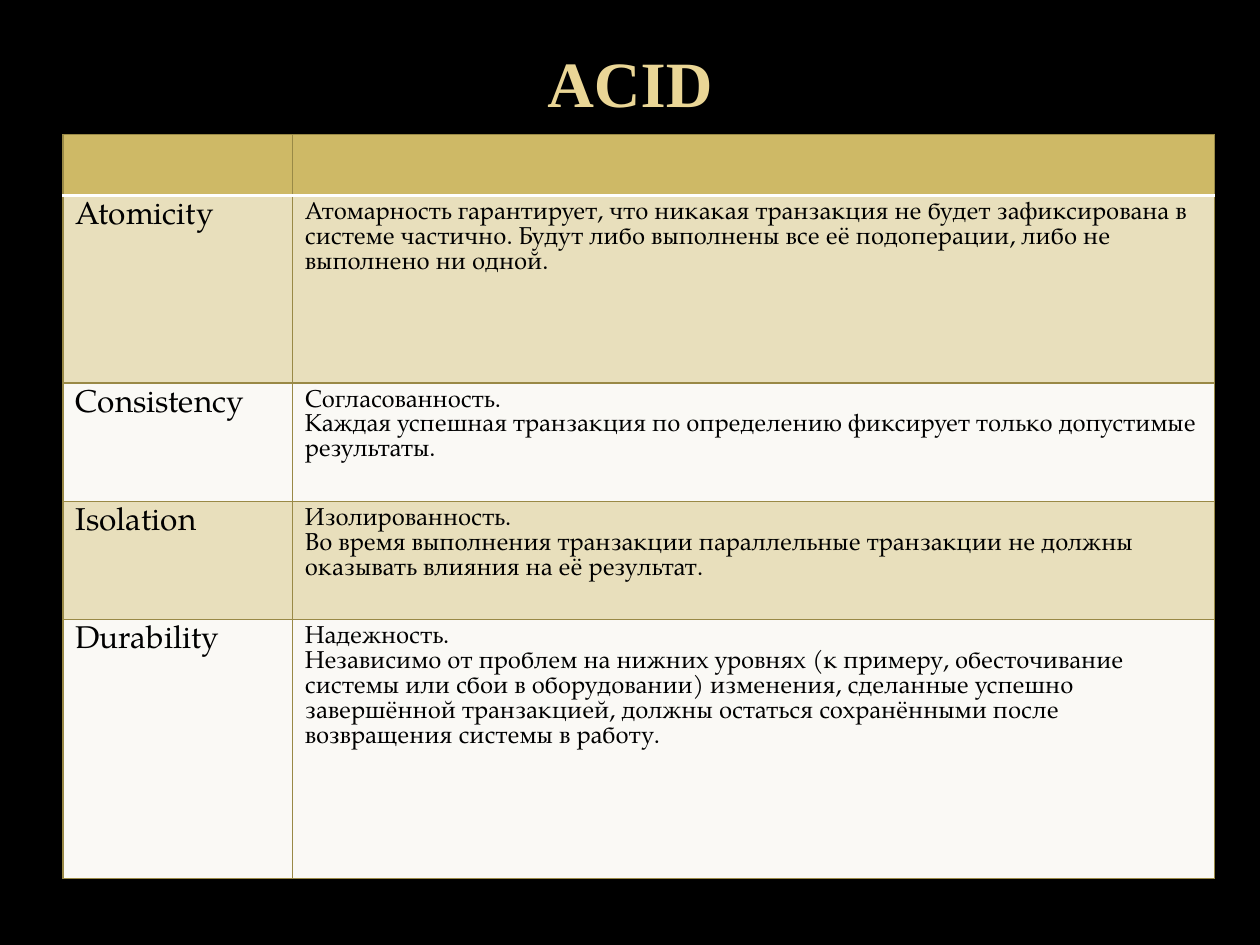
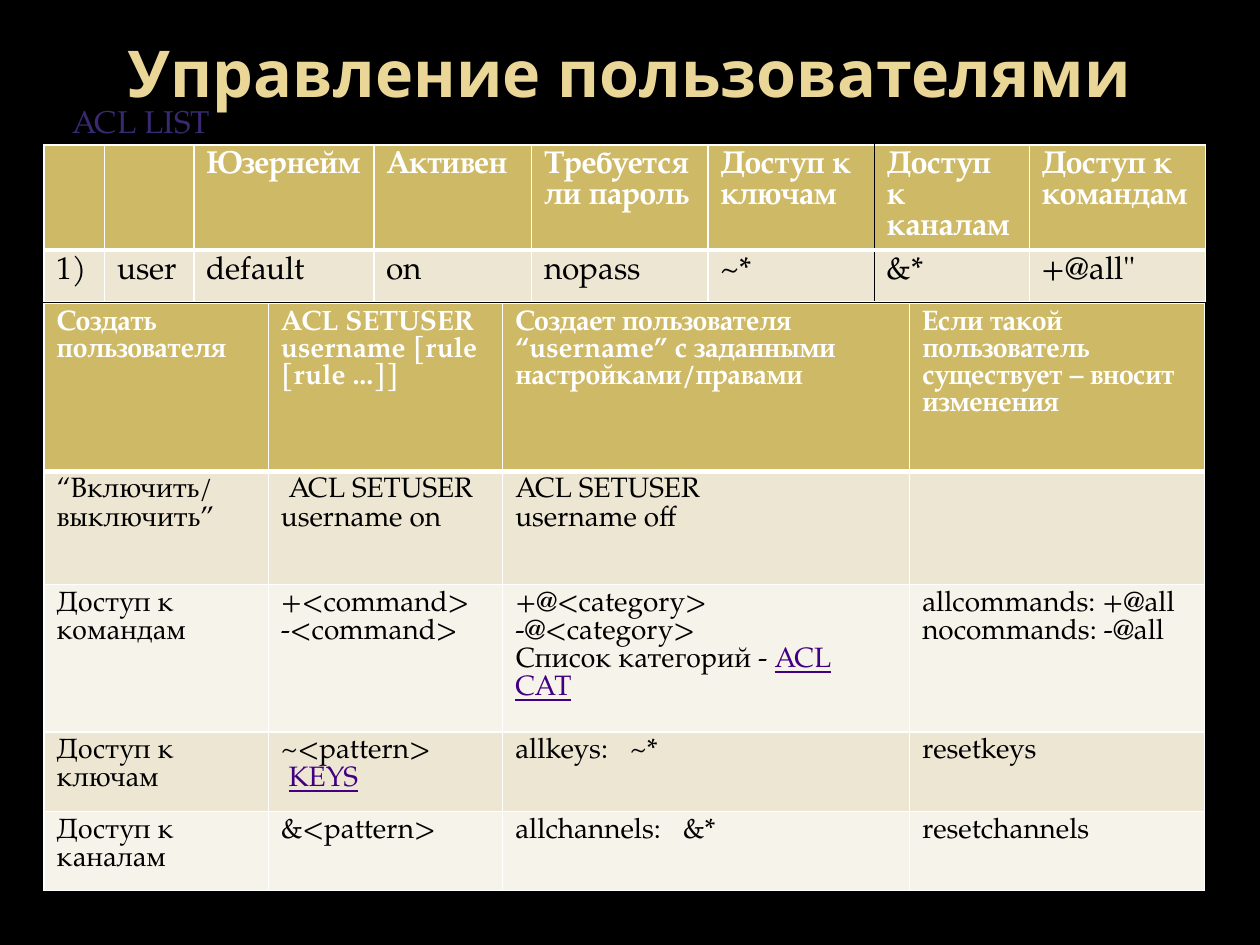
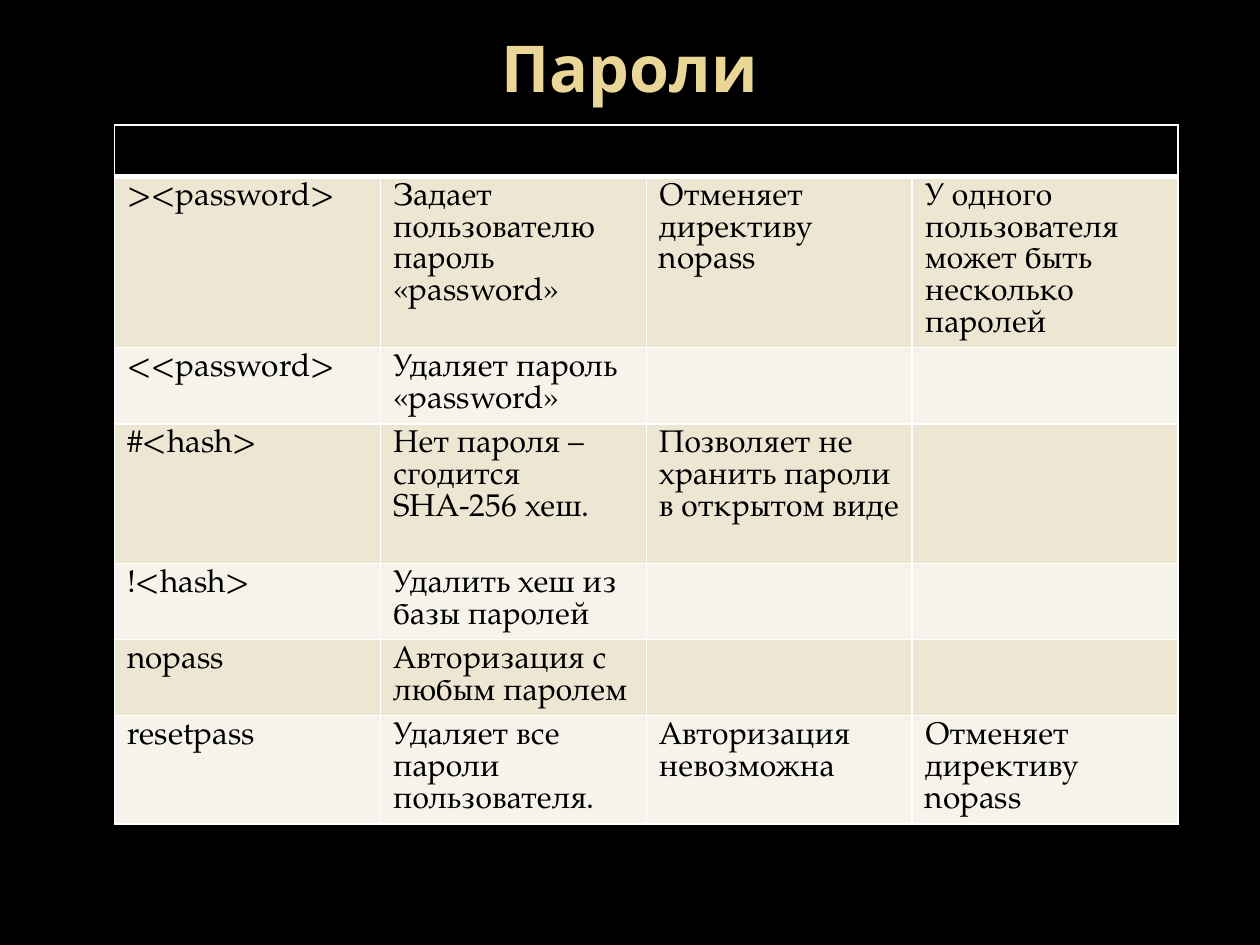
import pptx
import pptx.util
import pptx.dml.color
import pptx.enum.text
import lxml.etree
from pptx.util import Inches

# Shared look
BLACK, WHITE = "000000", "FFFFFF"
GOLD, SAND, CREAM = "CEB966", "EDE6D3", "F6F3EA"
TITLE, LINK, LABEL = "EAD696", "410082", "382971"
FONT = "TeX Gyre Pagella"
NS = "{http://schemas.openxmlformats.org/drawingml/2006/main}"


def rgb(code):
    return pptx.dml.color.RGBColor.from_string(code)


def edge(cell, side, code, width):
    props = cell._tc.get_or_add_tcPr()
    line = lxml.etree.SubElement(props, NS + "ln" + side, w=str(int(width * 12700)))
    fill = lxml.etree.SubElement(line, NS + "solidFill")
    lxml.etree.SubElement(fill, NS + "srgbClr", val=code)


# Tables: text between underscores is a link, a leading space is an indent
acid = dict(
    at=(0.5, 1.07), cols=[1.82, 7.32], rows=[0.48, 1.49, 0.94, 0.94, 2.05],
    sizes=[18, 14], bands=["E8DFBC", "FAF9F5"], line=("998946", 0.75), rule=2,
    cells=[
        ["", ""],
        ["Atomicity", "Атомарность гарантирует, что никакая транзакция не будет "
         "зафиксирована в системе частично. Будут либо выполнены все её "
         "подоперации, либо не выполнено ни одной."],
        ["Consistency", "Согласованность.\nКаждая успешная транзакция по "
         "определению фиксирует только допустимые результаты."],
        ["Isolation", "Изолированность.\nВо время выполнения транзакции "
         "параллельные транзакции не должны оказывать влияния на её результат."],
        ["Durability", "Надежность.\nНезависимо от проблем на нижних уровнях "
         "(к примеру, обесточивание системы или сбои в оборудовании) изменения, "
         "сделанные успешно завершённой транзакцией, должны остаться "
         "сохранёнными после возвращения системы в работу."],
    ])
users = dict(
    at=(0.35, 1.15), cols=[0.48, 0.71, 1.43, 1.25, 1.4, 1.32, 1.23, 1.4],
    rows=[0.59, 0.41], dark=6,
    cells=[
        ["", "", "Юзернейм", "Активен", "Требуется ли пароль",
         "Доступ к ключам", "Доступ к каналам", "Доступ к командам"],
        ["1)", "user", "default", "on", "nopass", "~*", "&*", '+@all"'],
    ])
rules = dict(
    at=(0.35, 2.41), cols=[1.78, 1.86, 3.23, 2.34],
    rows=[1.33, 0.9, 1.17, 0.63, 0.63], sizes=[16],
    tabs={"allkeys:": 0.91, "allchannels:": 1.33}, tight=(2, 2),
    cells=[
        ["Создать пользователя", "ACL SETUSER\nusername [rule [rule ...]]",
         "Создает пользователя “username” с заданными настройками/правами",
         "Если такой пользователь существует – вносит изменения"],
        ["“Включить/выключить”", " ACL SETUSER\nusername on",
         "ACL SETUSER\nusername off", ""],
        ["Доступ к командам", "+<command>\n-<command>",
         "+@<category>\n-@<category>\nСписок категорий - _ACL CAT_",
         "allcommands: +@all\nnocommands: -@all"],
        ["Доступ к ключам", "~<pattern>\n _KEYS_", "allkeys:\t~*", "resetkeys"],
        ["Доступ к каналам", "&<pattern>", "allchannels:\t&*", "resetchannels"],
    ])
keys = dict(
    at=(0.91, 0.99), cols=[2.11] * 4,
    rows=[0.41, 1.36, 0.6, 1.11, 0.6, 0.6, 0.86], head=BLACK, span=True,
    cells=[
        ["", "", "", ""],
        ["><password>", "Задает пользователю пароль «password»",
         "Отменяет директиву nopass",
         "У одного пользователя может быть несколько паролей"],
        ["<<password>", "Удаляет пароль «password»", "", ""],
        ["#<hash>", "Нет пароля – сгодится SHA-256 хеш.",
         "Позволяет не хранить пароли в открытом виде", ""],
        ["!<hash>", "Удалить хеш из базы паролей", "", ""],
        ["nopass", "Авторизация с любым паролем", "", ""],
        ["resetpass", "Удаляет все пароли пользователя.",
         "Авторизация невозможна", "Отменяет директиву nopass"],
    ])
pages = [
    ("ACID", "Times New Roman", 0.69, "", [acid]),
    ("Управление пользователями", "Noto Sans", 0.54, "ACL LIST", [users, rules]),
    ("Пароли", "Noto Sans", 0.46, "", [keys]),
]

deck = pptx.Presentation()
deck.slide_width, deck.slide_height = Inches(10), Inches(7.5)
back = deck.slide_master.background.fill
back.solid()
back.fore_color.rgb = rgb(BLACK)

for name, face, tall, label, grids in pages:
    slide = deck.slides.add_slide(deck.slide_layouts[5])

    # Title
    title = slide.shapes.title
    title.left, title.top = Inches(0.5), Inches(0.3)
    title.width, title.height = Inches(9), Inches(tall)
    frame = title.text_frame
    frame.auto_size = pptx.enum.text.MSO_AUTO_SIZE.NONE
    frame.vertical_anchor = pptx.enum.text.MSO_ANCHOR.MIDDLE
    para = frame.paragraphs[0]
    para.alignment = pptx.enum.text.PP_ALIGN.CENTER
    run = para.add_run()
    run.text = name
    run.font.name, run.font.size = face, pptx.util.Pt(36.9)
    run.font.bold = True
    run.font.color.rgb = rgb(TITLE)

    # Tables
    for grid in grids:
        data, cols, rows = grid["cells"], grid["cols"], grid["rows"]
        sizes = grid.get("sizes", [18])
        tint, thin = grid.get("line", (WHITE, 1))
        thick = (WHITE, grid.get("rule", 3))
        left, top = grid["at"]
        table = slide.shapes.add_table(
            len(rows), len(cols), Inches(left), Inches(top),
            Inches(sum(cols)), Inches(sum(rows))).table
        table.first_row = table.horz_banding = False
        for col, wide in zip(table.columns, cols):
            col.width = Inches(wide)
        for row, high in zip(table.rows, rows):
            row.height = Inches(high)
        if grid.get("span"):
            table.cell(0, 0).merge(table.cell(0, len(cols) - 1))

        for r, line in enumerate(data):
            for c, text in enumerate(line):
                cell = table.cell(r, c)

                # Borders and fill
                dark = grid.get("dark")
                edge(cell, "L", BLACK if c == dark else tint, thin)
                edge(cell, "R", BLACK if c + 1 == dark else tint, thin)
                edge(cell, "T", *(thick if r == 1 else (tint, thin)))
                edge(cell, "B", *(thick if r == 0 else (tint, thin)))
                bands = grid.get("bands", [SAND, CREAM])
                cell.fill.solid()
                cell.fill.fore_color.rgb = rgb(
                    bands[(r - 1) % 2] if r else grid.get("head", GOLD))
                if (r, c) == grid.get("tight"):
                    cell.margin_right = Inches(0.2)
                if not text:
                    continue

                # Text
                for i, part in enumerate(text.split("\n")):
                    frame = cell.text_frame
                    para = frame.add_paragraph() if i else frame.paragraphs[0]
                    props = para._p.get_or_add_pPr()
                    if part.startswith(" "):
                        props.set("indent", str(Inches(0.06)))
                    if "\t" in part:
                        stop = grid["tabs"][part.split("\t")[0]]
                        tabs = lxml.etree.SubElement(props, NS + "tabLst")
                        lxml.etree.SubElement(
                            tabs, NS + "tab", pos=str(Inches(stop)), algn="l")
                    for j, bit in enumerate(part.lstrip().split("_")):
                        if not bit:
                            continue
                        run = para.add_run()
                        run.text = bit
                        font = run.font
                        font.name = FONT
                        font.size = pptx.util.Pt(sizes[c % len(sizes)])
                        font.bold = r == 0
                        font.underline = j % 2 == 1
                        ink = BLACK if r else WHITE
                        font.color.rgb = rgb(LINK if j % 2 else ink)

    # Label over the first table
    if label:
        box = slide.shapes.add_textbox(
            Inches(0.46), Inches(0.76), Inches(1.32), Inches(0.4))
        box.text_frame.word_wrap = False
        para = box.text_frame.paragraphs[0]
        para.alignment = pptx.enum.text.PP_ALIGN.CENTER
        run = para.add_run()
        run.text = label
        run.font.name, run.font.size = FONT, pptx.util.Pt(18)
        run.font.color.rgb = rgb(LABEL)

deck.save("out.pptx")
